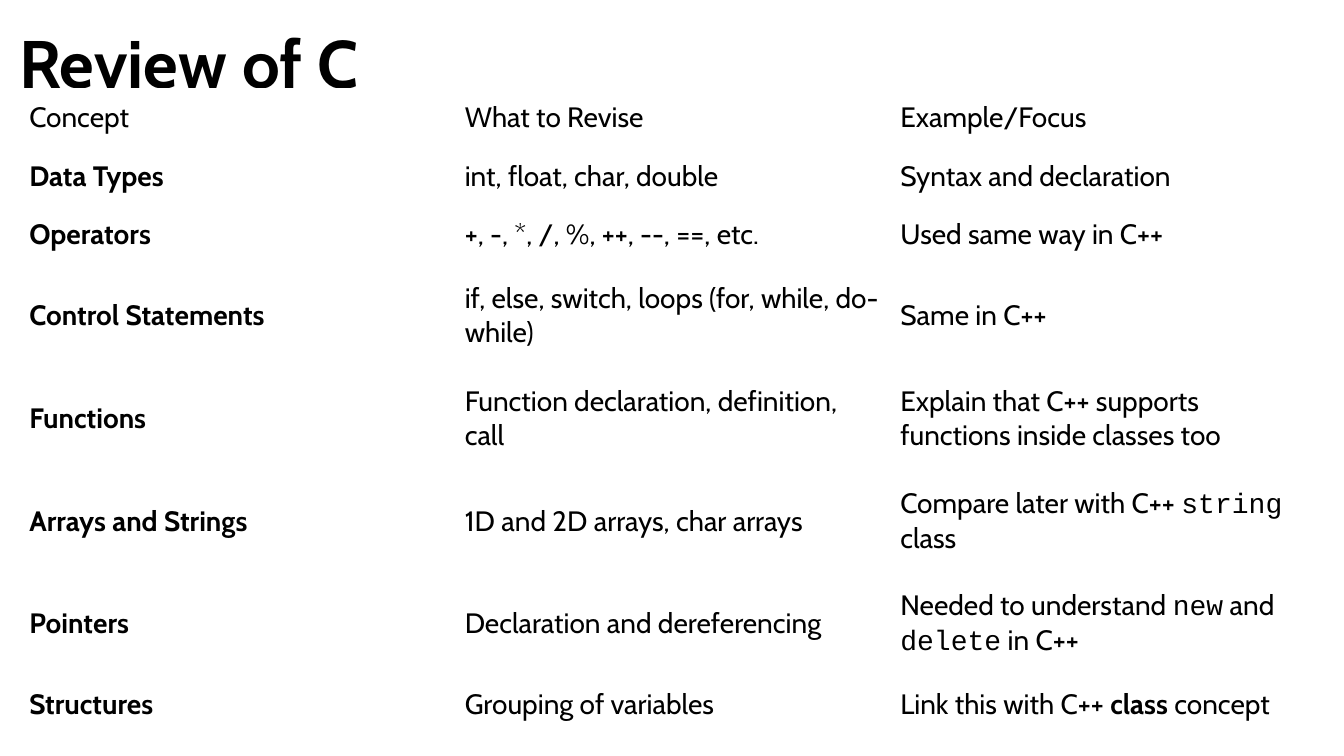
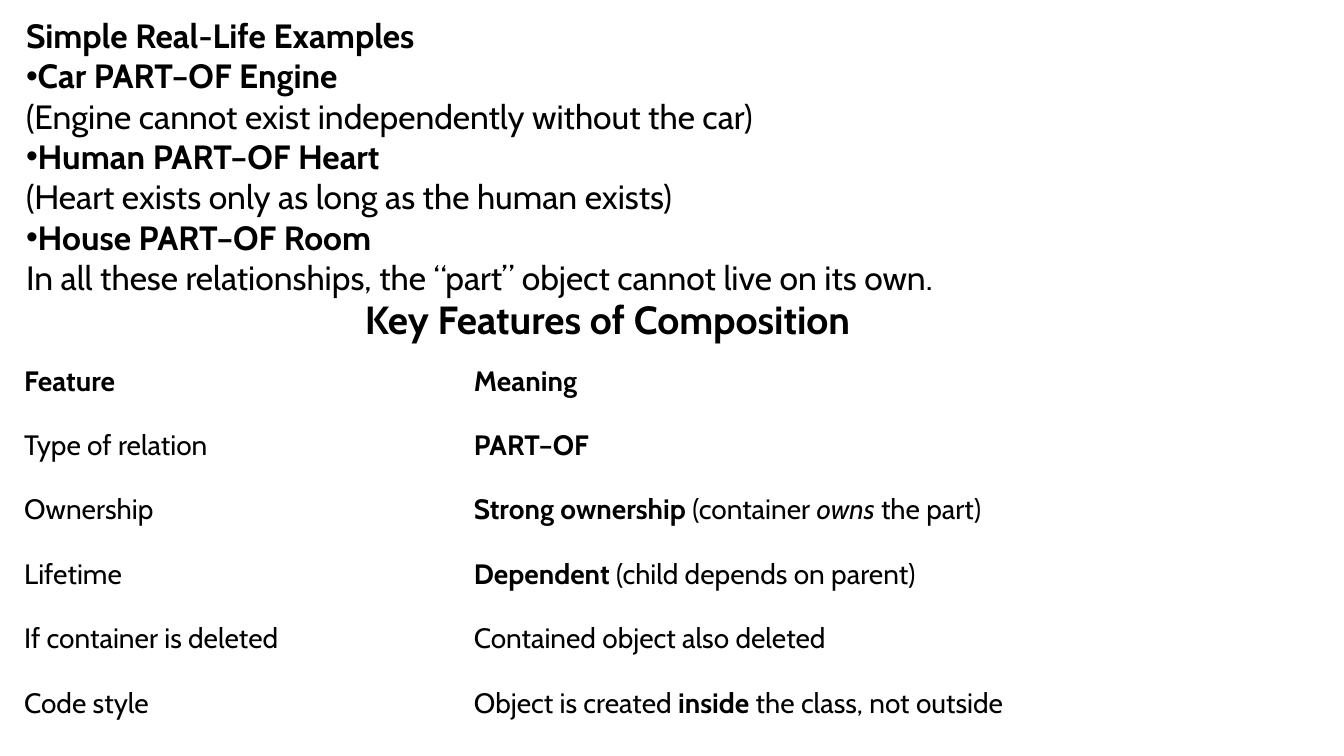
from dataclasses import dataclass

from lxml.etree import SubElement
from pptx import Presentation
from pptx.dml.color import RGBColor
from pptx.enum.text import MSO_ANCHOR, MSO_AUTO_SIZE, PP_ALIGN
from pptx.oxml.ns import qn
from pptx.util import Inches, Pt


@dataclass(frozen=True)
class Theme:
    ink: RGBColor = RGBColor(0, 0, 0)
    paper: RGBColor = RGBColor(255, 255, 255)
    font: str = "Cabin"
    code_font: str = "Courier New"
    title_size: int = 48
    subtitle_size: int = 28
    body_size: int = 24
    table_size: int = 20


THEME = Theme()
TITLE_ONLY = 5


# Styled pieces of text: plain strings are regular
def bold(text):
    return text, "bold"


def italic(text):
    return text, "italic"


def code(text):
    return text, "code"


REVIEW_ROWS = [
    ["Concept", "What to Revise", "Example/Focus"],
    [bold("Data Types"), "int, float, char, double", "Syntax and declaration"],
    [bold("Operators"), "+, -, *, /, %, ++, --, ==, etc.", "Used same way in C++"],
    [bold("Control Statements"), "if, else, switch, loops (for, while, do-while)",
     "Same in C++"],
    [bold("Functions"), "Function declaration, definition, call",
     "Explain that C++ supports functions inside classes too"],
    [bold("Arrays and Strings"), "1D and 2D arrays, char arrays",
     ["Compare later with C++ ", code("string"), " class"]],
    [bold("Pointers"), "Declaration and dereferencing",
     ["Needed to understand ", code("new"), " and ", code("delete"), " in C++"]],
    [bold("Structures"), "Grouping of variables",
     ["Link this with C++ ", bold("class"), " concept"]],
]

FEATURE_ROWS = [
    [bold("Feature"), bold("Meaning")],
    ["Type of relation", bold("PART–OF")],
    ["Ownership", [bold("Strong ownership"), " (container ", italic("owns"), " the part)"]],
    ["Lifetime", [bold("Dependent"), " (child depends on parent)"]],
    ["If container is deleted", "Contained object also deleted"],
    ["Code style", ["Object is created ", bold("inside"), " the class, not outside"]],
]

# Each paragraph: whether it has a bullet, then its lines
EXAMPLES = [
    (False, [bold("Simple Real-Life Examples")]),
    (True, [bold("Car PART–OF Engine"),
            "(Engine cannot exist independently without the car)"]),
    (True, [bold("Human PART–OF Heart"),
            "(Heart exists only as long as the human exists)"]),
    (True, [bold("House PART–OF Room")]),
    (False, ["In all these relationships, the “part” object cannot live on its own."]),
]


def add_spans(para, content, size):
    """Add one piece of text, or a list of pieces, to a paragraph."""
    for piece in content if isinstance(content, list) else [content]:
        text, style = piece if isinstance(piece, tuple) else (piece, "regular")
        span = para.add_run()
        span.text = text
        font = span.font
        font.name = THEME.code_font if style == "code" else THEME.font
        font.size = Pt(size)
        font.bold = style == "bold"
        font.italic = style == "italic"
        font.color.rgb = THEME.ink


def add_bullet(para):
    properties = para._p.get_or_add_pPr()
    properties.set("marL", "0")
    properties.set("indent", "0")
    SubElement(properties, qn("a:buFont")).set("typeface", "Arial")
    SubElement(properties, qn("a:buChar")).set("char", "•")


def add_page(deck, title, place, size):
    page = deck.slides.add_slide(deck.slide_layouts[TITLE_ONLY])
    page.background.fill.solid()
    page.background.fill.fore_color.rgb = THEME.paper
    box = page.shapes.title
    box.left, box.top, box.width, box.height = map(Inches, place)
    frame = box.text_frame
    frame.word_wrap = True
    frame.auto_size = MSO_AUTO_SIZE.NONE
    frame.vertical_anchor = MSO_ANCHOR.TOP
    para = frame.paragraphs[0]
    para.alignment = PP_ALIGN.LEFT
    add_spans(para, bold(title), size)
    return page


def add_text(page, place, paragraphs):
    frame = page.shapes.add_textbox(*map(Inches, place)).text_frame
    frame.word_wrap = True
    for index, (bulleted, lines) in enumerate(paragraphs):
        para = frame.add_paragraph() if index else frame.paragraphs[0]
        if bulleted:
            add_bullet(para)
        for number, line in enumerate(lines):
            if number:
                para.add_line_break()
            add_spans(para, line, THEME.body_size)


def add_grid(page, left, top, widths, heights, rows):
    """Add a plain table without fills or banding."""
    table = page.shapes.add_table(
        len(rows), len(widths), Inches(left), Inches(top),
        Inches(sum(widths)), Inches(sum(heights))).table
    table.first_row = table.horz_banding = False
    for column, width in zip(table.columns, widths):
        column.width = Inches(width)
    for row, height, contents in zip(table.rows, heights, rows):
        row.height = Inches(height)
        for cell, content in zip(row.cells, contents):
            cell.fill.background()
            cell.vertical_anchor = MSO_ANCHOR.MIDDLE
            add_spans(cell.text_frame.paragraphs[0], content, THEME.table_size)


def add_review(deck):
    page = add_page(deck, "Review of C", (0.09, 0.16, 12.95, 0.91), THEME.title_size)
    heights = [0.58] * 3 + [1.02] * 4 + [0.58]
    add_grid(page, 0.19, 0.88, [4.32] * 3, heights, REVIEW_ROWS)


def add_composition(deck):
    page = add_page(deck, "Key Features of Composition", (3.52, 2.88, 5.99, 0.57),
                    THEME.subtitle_size)
    add_text(page, (0.16, 0.1, 13.02, 2.93), EXAMPLES)
    add_grid(page, 0.14, 3.46, [4.46, 8.58], [0.64] * len(FEATURE_ROWS), FEATURE_ROWS)


def main():
    deck = Presentation()
    deck.slide_width, deck.slide_height = Inches(13.33), Inches(7.5)
    add_review(deck)
    add_composition(deck)
    deck.save("out.pptx")


if __name__ == "__main__":
    main()
